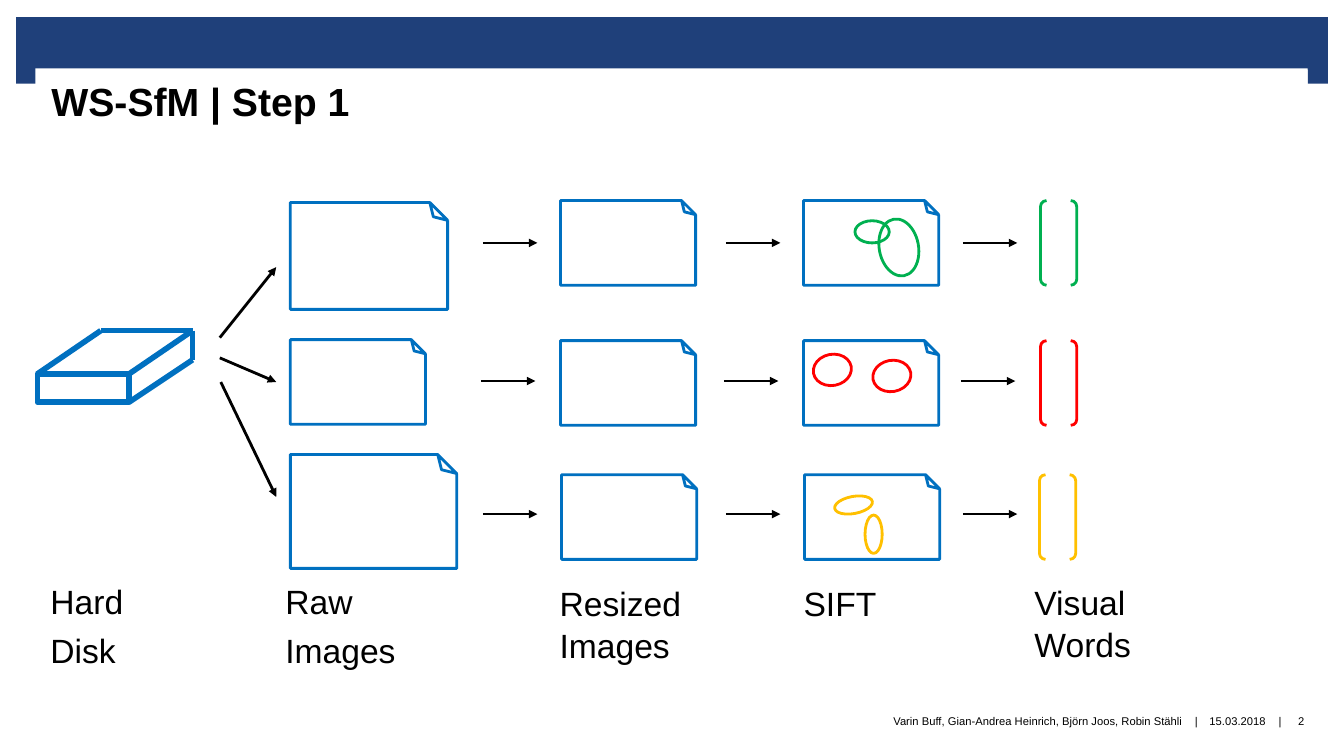
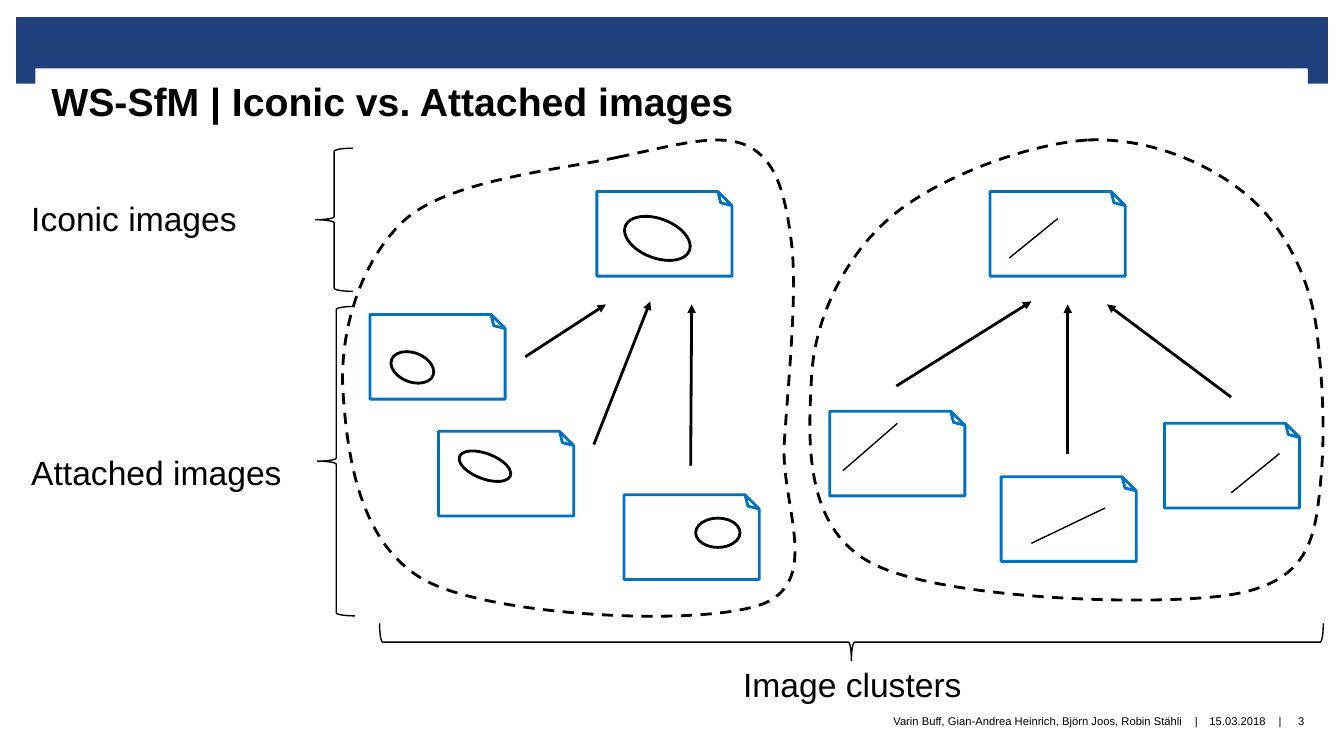
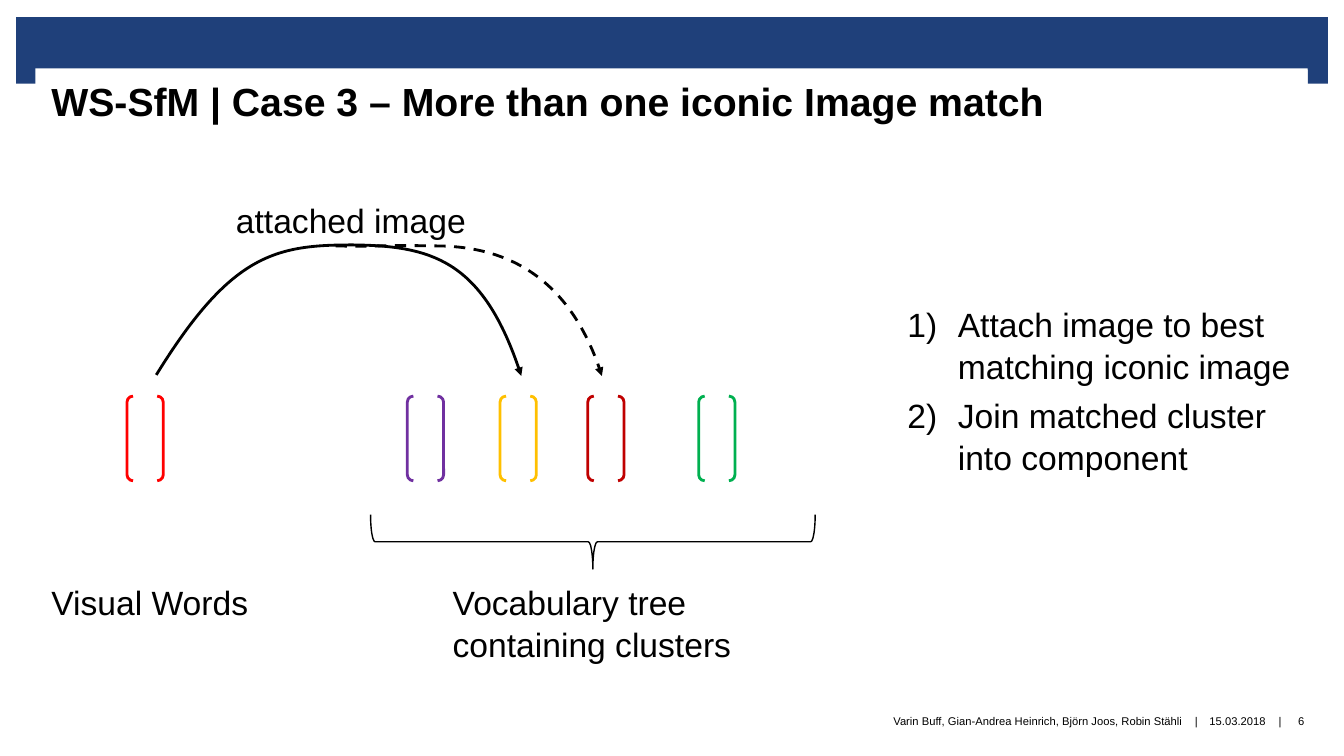
"""Three slides on the WS-SfM pipeline: feature extraction, image clusters and matching."""
from lxml import etree
from pptx import Presentation
from pptx.dml.color import RGBColor
from pptx.enum.dml import MSO_LINE
from pptx.enum.shapes import MSO_CONNECTOR, MSO_SHAPE
from pptx.enum.text import MSO_ANCHOR, PP_ALIGN
from pptx.oxml.ns import qn
from pptx.util import Inches, Pt

RECT, OVAL = MSO_SHAPE.RECTANGLE, MSO_SHAPE.OVAL
PAGE, BRACKETS, BRACE = MSO_SHAPE.FOLDED_CORNER, MSO_SHAPE.DOUBLE_BRACKET, MSO_SHAPE.LEFT_BRACE
STRAIGHT, DASH = MSO_CONNECTOR.STRAIGHT, MSO_LINE.DASH
TOP, MIDDLE = MSO_ANCHOR.TOP, MSO_ANCHOR.MIDDLE
LEFT, CENTER, RIGHT = PP_ALIGN.LEFT, PP_ALIGN.CENTER, PP_ALIGN.RIGHT

NAVY = RGBColor(0x1F, 0x40, 0x7A)
BLUE = RGBColor(0x00, 0x70, 0xC0)
BLACK = RGBColor(0x00, 0x00, 0x00)
WHITE = RGBColor(0xFF, 0xFF, 0xFF)
GREEN = RGBColor(0x00, 0xB0, 0x50)
RED = RGBColor(0xFF, 0x00, 0x00)
DARK_RED = RGBColor(0xC0, 0x00, 0x00)
AMBER = RGBColor(0xFF, 0xC0, 0x00)
PURPLE = RGBColor(0x70, 0x30, 0xA0)
FONT = "Arial"
PAGE_W, PAGE_H = 1.34, 0.84
BRACKET_W = 0.36

BANDS = [(0.16, 0.17, 13.01, 0.52), (0.16, 0.65, 0.2, 0.18), (12.97, 0.65, 0.2, 0.18)]
FOOTER = [
    ("Varin Buff, Gian-Andrea Heinrich, Björn Joos, Robin Stähli", 6.66, 5.07, RIGHT),
    ("|", 11.79, 0.15, CENTER),
    ("15.03.2018", 11.94, 0.67, CENTER),
    ("|", 12.62, 0.15, CENTER),
]

STEP_LABELS = [
    (["Hard", "Disk"], 0.35, 5.74, 1.56),
    (["Raw", "Images"], 2.68, 5.74, 2.21),
    (["Resized Images"], 5.4, 5.76, 2.21),
    (["SIFT"], 7.82, 5.76, 2.21),
    (["Visual Words"], 10.11, 5.75, 2.21),
]
DISK_FRONT = (0.37, 3.71, 0.91, 0.28)
DISK_EDGES = [
    (0.37, 3.71, 1, 3.28), (1.28, 3.71, 1.91, 3.28), (1.28, 3.99, 1.91, 3.57),
    (1, 3.28, 1.91, 3.28), (1.91, 3.28, 1.91, 3.57),
]
DISK_ARROWS = [(2.18, 3.35, 2.74, 2.65), (2.18, 3.55, 2.74, 3.79), (2.19, 3.79, 2.74, 4.93)]
RAW_PAGES = [(2.88, 2.01, 1.56, 1.06), (2.88, 3.37, PAGE_W, PAGE_H), (2.88, 4.51, 1.65, 1.13)]
PAGE_COLUMNS = [5.56, 7.97]
WORDS_COLUMN = 10.32
ARROW_COLUMNS, ARROW_LENGTH = [4.79, 7.2, 9.55], 0.54
STEP_ROWS = [
    (1.99, 0, 2.41, 0, GREEN, [(8.48, 2.19, 0.34, 0.22, 0), (8.63, 2.26, 0.57, 0.39, 79.6)]),
    (3.38, 0, 3.78, -0.02, RED, [(8.1, 3.48, 0.31, 0.38, 79.6), (8.69, 3.54, 0.31, 0.38, 79.6)]),
    (4.71, 0.01, 5.1, 0, AMBER, [(8.38, 4.82, 0.17, 0.38, 79.6), (8.58, 5.11, 0.17, 0.38, 0)]),
]

CLUSTER_PAGES = [
    (5.92, 1.9), (3.67, 3.12), (4.35, 4.28), (6.19, 4.91),
    (9.82, 1.9), (8.23, 4.08), (9.93, 4.73), (11.55, 4.2),
]
CLUSTER_OVALS = [
    (6.18, 2.17, 0.68, 0.39, 20.8), (3.87, 3.5, 0.44, 0.29, 20.8),
    (4.54, 4.5, 0.54, 0.25, 20.8), (6.9, 5.14, 0.44, 0.29, 0),
]
CLUSTER_STROKES = [
    (10.01, 2.56, 10.49, 2.17), (8.36, 4.67, 8.9, 4.2),
    (10.23, 5.39, 10.96, 5.04), (12.21, 4.89, 12.69, 4.5),
]
ATTACH_ARROWS = [
    (5.21, 3.54, 6.01, 3.02), (5.89, 4.41, 6.45, 2.99), (6.85, 4.62, 6.86, 3.02),
    (8.89, 3.83, 10.23, 2.99), (10.59, 4.5, 10.59, 3.02), (12.21, 3.94, 10.98, 3.02),
]
CLUSTER_BRACES = [
    (3.13, 1.47, 0.37, 1.42, 0), (3.15, 3.04, 0.37, 3.07, 0), (8.26, 1.69, 0.37, 9.36, 270),
]
CLUSTER_LABELS = [
    (["Iconic images"], 0.16, 1.94, 2.54),
    (["Attached images"], 0.16, 4.46, 2.86),
    (["Image clusters"], 7.22, 6.57, 2.86),
]
CLUSTER_OUTLINES = [
    [(6.13, 1.56), (5.57, 1.68), (4.5, 1.78), (4.04, 2.16), (3.59, 2.55), (3.37, 3.26),
     (3.4, 3.86), (3.44, 4.46), (3.54, 5.41), (4.24, 5.77), (4.93, 6.12), (6.98, 6.22),
     (7.57, 5.99), (8.16, 5.75), (7.73, 4.97), (7.78, 4.37), (7.82, 3.77), (7.91, 2.9),
     (7.85, 2.41), (7.79, 1.93), (7.7, 1.59), (7.42, 1.45), (7.13, 1.31), (6.7, 1.44),
     (6.13, 1.56)],
    [(10.78, 1.39), (10.19, 1.43), (9.3, 1.76), (8.84, 2.15), (8.38, 2.54), (8.08, 3.16),
     (8.05, 3.73), (8.02, 4.31), (7.95, 5.23), (8.65, 5.59), (9.34, 5.95), (11.47, 6.02),
     (12.21, 5.9), (12.95, 5.78), (13.04, 5.38), (13.09, 4.86), (13.15, 4.35), (13.12, 3.78),
     (13.06, 3.28), (13, 2.78), (12.74, 2.24), (12.36, 1.93), (11.98, 1.61), (11.37, 1.36),
     (10.78, 1.39)],
]

MATCH_LABELS = [
    (["Visual Words"], 0.36, 5.75, 2.84),
    (["attached image"], 2.19, 1.96, 3.45),
    (["Vocabulary tree containing clusters"], 4.34, 5.75, 3.27),
]
MATCH_STEPS = ["Attach image to best matching iconic image", "Join matched cluster into component"]
MATCH_WORDS = [(1.26, RED), (4.04, PURPLE), (4.96, AMBER), (5.83, DARK_RED), (6.93, GREEN)]
WORDS_TOP = 3.93
TREE_BRACE = (5.61, 3.17, 0.54, 4.41)
BEST_MATCH = [(1.55, 3.72), (2.29, 2.52), (2.73, 2.43), (3.5, 2.43),
              (4.27, 2.44), (4.8, 2.58), (5.17, 3.73)]
OTHER_MATCH = [(3.33, 2.44), (3.67, 2.45), (3.79, 2.43), (4.31, 2.44),
               (4.82, 2.44), (5.61, 2.59), (5.97, 3.73)]


def add_arrowhead(line):
    etree.SubElement(line._get_or_add_ln(), qn("a:tailEnd"), type="triangle")


def add_outline(s, kind, x, y, w, h, color=BLACK, width=2, angle=0):
    sp = s.shapes.add_shape(kind, Inches(x), Inches(y), Inches(w), Inches(h))
    sp.shadow.inherit = False
    sp.fill.background()
    sp.line.color.rgb = color
    sp.line.width = Pt(width)
    sp.rotation = angle
    return sp


def add_page(s, x, y, w=PAGE_W, h=PAGE_H):
    sp = add_outline(s, PAGE, x, y, w, h, BLUE)
    sp._element.spPr.find(qn("a:xfrm")).set("flipV", "1")


def add_line(s, x1, y1, x2, y2, color=BLACK, width=2, arrow=False):
    c = s.shapes.add_connector(STRAIGHT, Inches(x1), Inches(y1), Inches(x2), Inches(y2))
    c.line.color.rgb = color
    c.line.width = Pt(width)
    if arrow:
        add_arrowhead(c.line)
    etree.SubElement(c._element.spPr, qn("a:effectLst"))


def add_curve(s, points, dashed=False, closed=False):
    start, *rest = [(Inches(x), Inches(y)) for x, y in points]
    builder = s.shapes.build_freeform(*start)
    builder.add_line_segments(rest, close=closed)
    sp = builder.convert_to_shape()
    segments = list(sp._element.iter(qn("a:lnTo")))
    for i in range(0, len(segments), 3):
        bezier = etree.Element(qn("a:cubicBezTo"))
        segments[i].addprevious(bezier)
        for segment in segments[i:i + 3]:
            bezier.append(segment[0])
            segment.getparent().remove(segment)
    sp.shadow.inherit = False
    sp.fill.background()
    sp.line.color.rgb = BLACK
    sp.line.width = Pt(2)
    if dashed:
        sp.line.dash_style = DASH
    if not closed:
        add_arrowhead(sp.line)


def add_text(s, lines, x, y, w, h=0.69, size=24, bold=False, align=LEFT, anchor=TOP,
             margins=(0.15, 0, 0.16, 0), before=5, spacing=1.05):
    box = s.shapes.add_textbox(Inches(x), Inches(y), Inches(w), Inches(h))
    tf = box.text_frame
    tf.word_wrap = True
    tf.vertical_anchor = anchor
    tf.margin_left, tf.margin_top, tf.margin_right, tf.margin_bottom = map(Inches, margins)
    tf.text = "\n".join(lines)
    for p in tf.paragraphs:
        p.alignment = align
        p.space_before = Pt(before)
        p.line_spacing = spacing
        p.font.name = FONT
        for r in p.runs:
            r.font.name = FONT
            r.font.size = Pt(size)
            r.font.bold = bold
            r.font.color.rgb = BLACK
    return box


def number_paragraphs(box):
    for p in box.text_frame.paragraphs:
        pPr = p._p.get_or_add_pPr()
        pPr.set("marL", str(Inches(0.5)))
        pPr.set("indent", str(Inches(-0.5)))
        numbering = etree.Element(qn("a:buAutoNum"), type="arabicParenR")
        pPr.find(qn("a:spcBef")).addnext(numbering)


def new_slide(prs, title, number, labels):
    s = prs.slides.add_slide(prs.slide_layouts[6])
    for band in BANDS:
        sp = add_outline(s, RECT, *band)
        sp.fill.solid()
        sp.fill.fore_color.rgb = NAVY
        sp.line.fill.background()
    for text, x, w, align in FOOTER + [(number, 12.71, 0.39, CENTER)]:
        add_text(s, [text], x, 6.9, w, 0.51, 8, align=align, anchor=MIDDLE,
                 margins=(0, 0, 0, 0), before=0, spacing=1.0)
    box = add_text(s, [title], 0.35, 0.68, 12.62, 1.06, 28, bold=True,
                   margins=(0.16, 0.06, 0.16, 0), before=0)
    box.fill.solid()
    box.fill.fore_color.rgb = WHITE
    for label in labels:
        add_text(s, *label)
    return s


def build_step(prs):
    s = new_slide(prs, "WS-SfM | Step 1", "2", STEP_LABELS)
    add_outline(s, RECT, *DISK_FRONT, BLUE, 4)
    for edge in DISK_EDGES:
        add_line(s, *edge, BLUE, 4)
    for arrow in DISK_ARROWS:
        add_line(s, *arrow, arrow=True)
    for page in RAW_PAGES:
        add_page(s, *page)
    for y, shift, arrow_y, arrow_shift, color, features in STEP_ROWS:
        for x in PAGE_COLUMNS:
            add_page(s, x + shift, y)
        for x in ARROW_COLUMNS:
            left = x + arrow_shift
            add_line(s, left, arrow_y, left + ARROW_LENGTH, arrow_y, arrow=True)
        for x, top, w, h, angle in features:
            add_outline(s, OVAL, x, top, w, h, color, angle=angle)
        add_outline(s, BRACKETS, WORDS_COLUMN - shift, y, BRACKET_W, PAGE_H, color)


def build_clusters(prs):
    s = new_slide(prs, "WS-SfM | Iconic vs. Attached images", "3", CLUSTER_LABELS)
    for page in CLUSTER_PAGES:
        add_page(s, *page)
    for *frame, angle in CLUSTER_OVALS:
        add_outline(s, OVAL, *frame, angle=angle)
    for stroke in CLUSTER_STROKES:
        add_line(s, *stroke, width=1)
    for arrow in ATTACH_ARROWS:
        add_line(s, *arrow, arrow=True)
    for *frame, angle in CLUSTER_BRACES:
        add_outline(s, BRACE, *frame, width=1, angle=angle)
    for outline in CLUSTER_OUTLINES:
        add_curve(s, outline, dashed=True, closed=True)


def build_match(prs):
    s = new_slide(prs, "WS-SfM | Case 3 – More than one iconic Image match", "6", MATCH_LABELS)
    for x, color in MATCH_WORDS:
        add_outline(s, BRACKETS, x, WORDS_TOP, BRACKET_W, PAGE_H, color)
    add_outline(s, BRACE, *TREE_BRACE, width=1, angle=270)
    add_curve(s, BEST_MATCH)
    add_curve(s, OTHER_MATCH, dashed=True)
    number_paragraphs(add_text(s, MATCH_STEPS, 8.85, 2.99, 4.12, 1.79))


prs = Presentation()
prs.slide_width, prs.slide_height = Inches(13.33), Inches(7.5)
build_step(prs)
build_clusters(prs)
build_match(prs)
prs.save("out.pptx")
